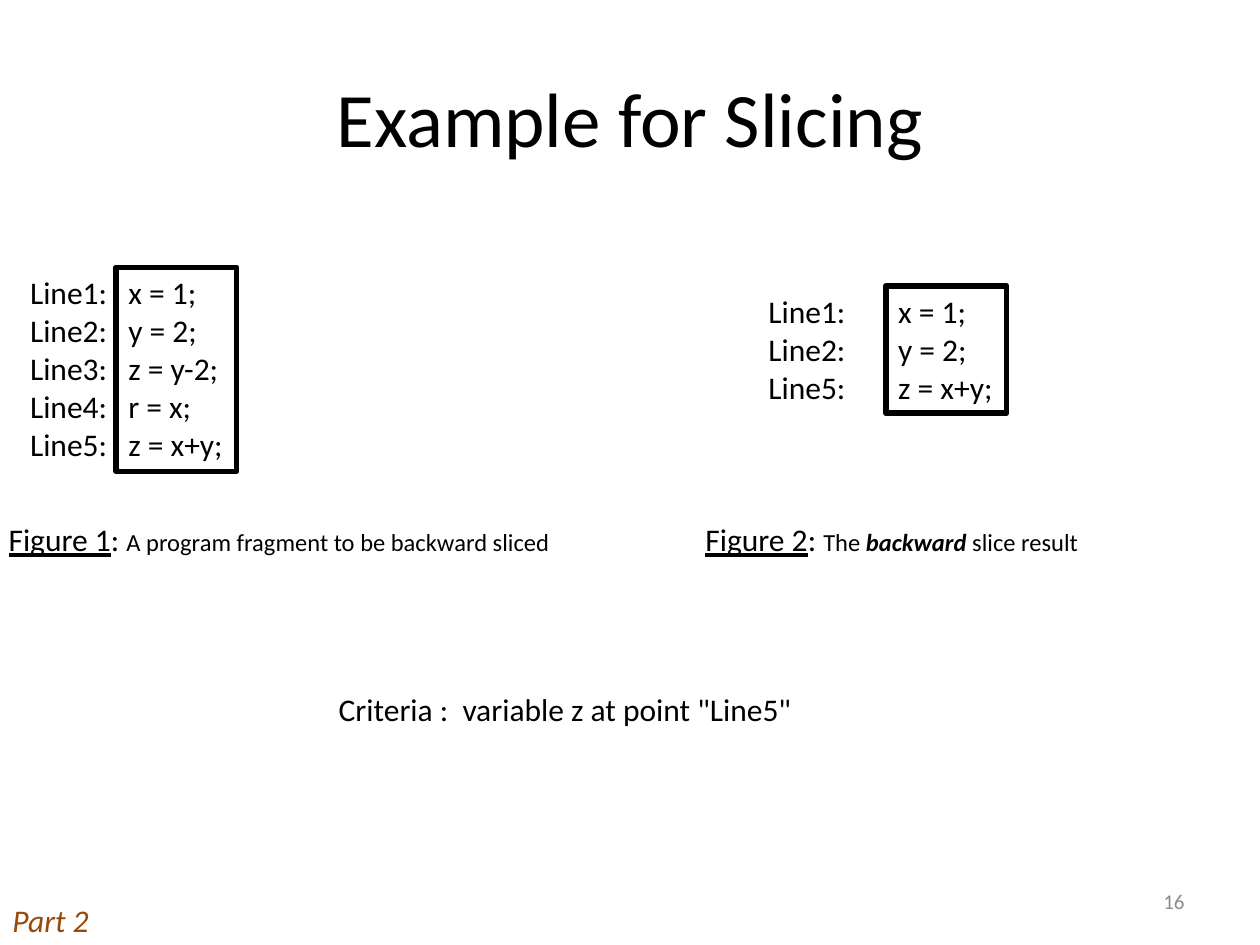
from pptx import Presentation
from pptx.dml.color import RGBColor
from pptx.enum.shapes import MSO_SHAPE
from pptx.enum.text import MSO_ANCHOR, PP_ALIGN
from pptx.util import Inches, Pt

RECT = MSO_SHAPE.RECTANGLE
TOP, MIDDLE = MSO_ANCHOR.TOP, MSO_ANCHOR.MIDDLE
LEFT, CENTER, RIGHT = PP_ALIGN.LEFT, PP_ALIGN.CENTER, PP_ALIGN.RIGHT

THEME = {
    "font": "Calibri",
    "ink": RGBColor.from_string("000000"),
    "gray": RGBColor.from_string("8C8C8C"),
    "brown": RGBColor.from_string("984807"),
    "title": Pt(44), "body": Pt(18), "note": Pt(14), "small": Pt(12),
}


def write(shape, lines, align=LEFT, anchor=TOP, wrap=False):
    """Fill a shape with lines, each a list of (text, font format) runs."""
    frame = shape.text_frame
    frame.word_wrap = wrap
    frame.vertical_anchor = anchor
    for i, runs in enumerate(lines):
        para = frame.paragraphs[0] if i == 0 else frame.add_paragraph()
        para.alignment = align
        for text, form in runs:
            run = para.add_run()
            run.text = text
            look = {"name": THEME["font"], "size": THEME["body"], **form}
            run.font.color.rgb = look.pop("color", THEME["ink"])
            for key, value in look.items():
                setattr(run.font, key, value)


def add_text(x, y, w, h, lines, **form):
    box = slide.shapes.add_textbox(Inches(x), Inches(y), Inches(w), Inches(h))
    write(box, lines, **form)


prs = Presentation()
prs.slide_width, prs.slide_height = Inches(10), Inches(7.5)
slide = prs.slides.add_slide(prs.slide_layouts[5])

title = slide.shapes.title
title.left, title.top = Inches(0.5), Inches(0.3)
title.width, title.height = Inches(9), Inches(1.25)
write(title, [[("Example for Slicing", {"size": THEME["title"]})]],
      align=CENTER, anchor=MIDDLE, wrap=True)

# Code listings: label left, code left, top, height, border, numbered lines
code = {1: "x = 1;", 2: "y = 2;", 3: "z = y-2;", 4: "r = x;", 5: "z = x+y;"}
lists = [
    (0.14, 0.92, 2.12, 1.62, 3, [1, 2, 3, 4, 5]),
    (6, 7.03, 2.27, 1.01, 3.25, [1, 2, 5]),
]
for tag_x, code_x, y, h, border, nums in lists:
    box = slide.shapes.add_shape(
        RECT, Inches(code_x), Inches(y), Inches(0.96), Inches(h))
    box.shadow.inherit = False
    box.fill.background()
    box.line.color.rgb = THEME["ink"]
    box.line.width = Pt(border)
    write(box, [[(code[n], {})] for n in nums])
    add_text(tag_x, y, 0.82, h, [[(f"Line{n}:", {})] for n in nums])

# Captions
note = {"size": THEME["note"]}
strong = {**note, "bold": True, "italic": True}
captions = [
    (-0.03, 4.54, "Figure 1",
     [("A program fragment to be backward sliced", note)]),
    (5.5, 3.19, "Figure 2",
     [("The ", note), ("backward", strong), (" slice result", note)]),
]
for x, w, name, runs in captions:
    add_text(x, 4.08, w, 0.4,
             [[(name, {"underline": True}), (": ", {}), *runs]])

add_text(2.59, 5.43, 3.84, 0.4,
         [[('Criteria :  variable z at point "Line5"', {})]])

# Footer
add_text(0, 7.1, 0.81, 0.4,
         [[("Part 2", {"color": THEME["brown"], "italic": True})]])
add_text(7.17, 6.95, 2.33, 0.4,
         [[("16", {"color": THEME["gray"], "size": THEME["small"]})]],
         align=RIGHT, anchor=MIDDLE, wrap=True)

prs.save("out.pptx")
